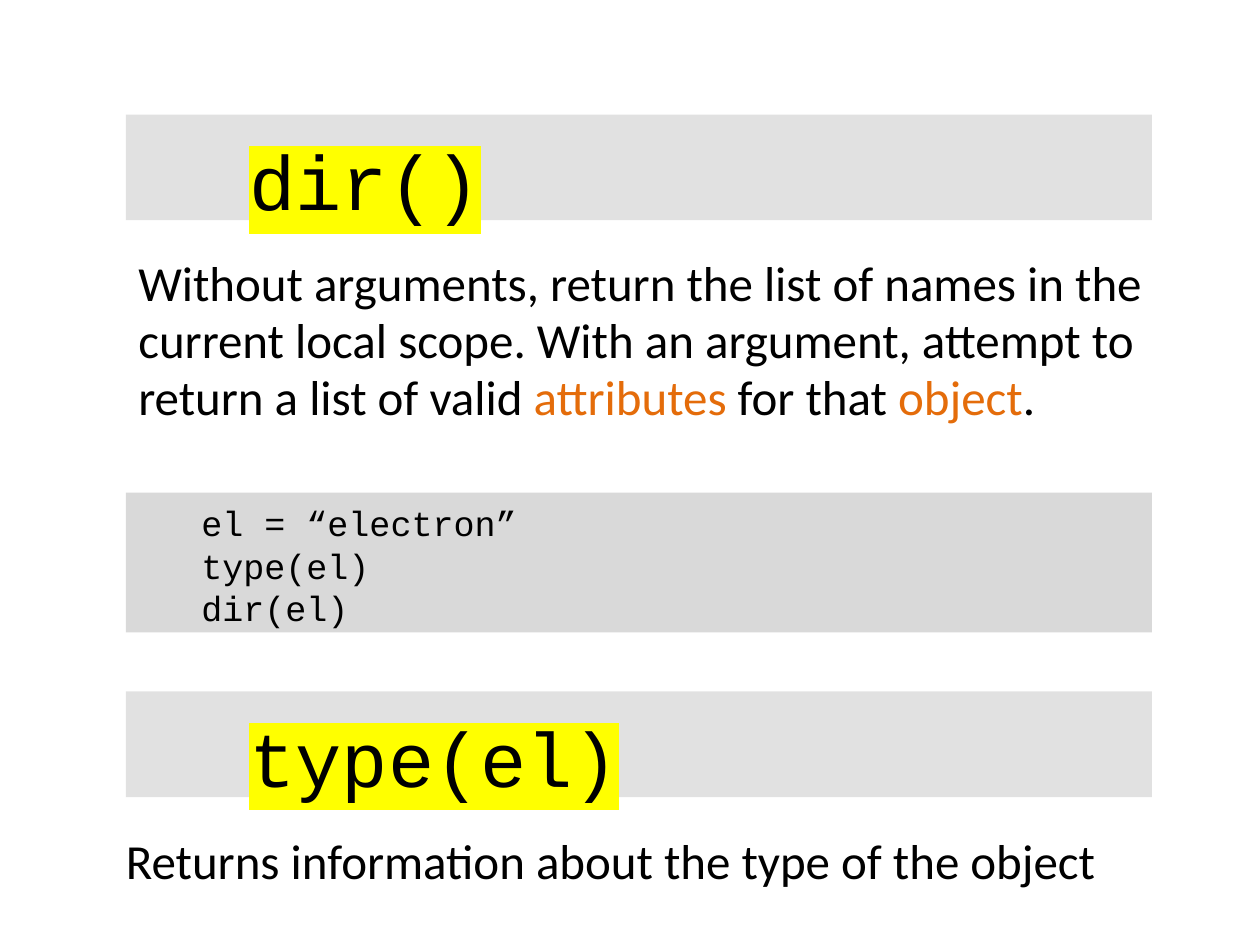
"""Build a slide explaining the dir() and type() functions."""
from dataclasses import dataclass
from typing import Optional, Union

from lxml import etree
from pptx import Presentation
from pptx import util as u
from pptx.dml.color import RGBColor
from pptx.enum import shapes, text
from pptx.oxml.ns import qn

BLACK, ORANGE, YELLOW = "000000", "E46C0A", "FFFF00"
BAR_LEFT, BAR_WIDTH = 2.54, 20.68


@dataclass
class Run:
    text: str
    color: str = BLACK


@dataclass
class Block:
    left: float
    top: float
    width: float
    height: float
    paragraphs: list[list[Run]]
    size: int
    font: str = "Calibri"
    fill: Optional[str] = None
    opacity: int = 100
    highlight: Optional[str] = None
    indent: float = 0
    inset_top: float = 0.13
    line_spacing: Union[float, u.Pt] = 1.0


def set_color(color_format, color: str) -> None:
    color_format.rgb = RGBColor.from_string(color)


def add_highlight(run, color: str) -> None:
    properties = run.font._element
    highlight = etree.Element(qn("a:highlight"))
    etree.SubElement(highlight, qn("a:srgbClr"), val=color)
    properties.find(qn("a:solidFill")).addnext(highlight)


def fill_shape(shape, color: str, opacity: int) -> None:
    shape.shadow.inherit = False
    shape.fill.solid()
    set_color(shape.fill.fore_color, color)
    shape.line.fill.background()
    if opacity < 100:
        value = shape._element.spPr.find(qn("a:solidFill"))[0]
        etree.SubElement(value, qn("a:alpha"), val=str(opacity * 1000))


def write_paragraph(paragraph, runs: list[Run], block: Block) -> None:
    paragraph.alignment = text.PP_ALIGN.LEFT
    paragraph.line_spacing = block.line_spacing
    if block.indent:
        paragraph._p.get_or_add_pPr().set("marL", str(u.Cm(block.indent)))
    for item in runs:
        run = paragraph.add_run()
        run.text = item.text
        run.font.size = u.Pt(block.size)
        run.font.name = block.font
        run.font.fill.solid()
        set_color(run.font.fill.fore_color, item.color)
        if block.highlight:
            add_highlight(run, block.highlight)


def add_block(slide, block: Block) -> None:
    box = [u.Cm(v) for v in (block.left, block.top, block.width, block.height)]
    if block.fill:
        shape = slide.shapes.add_shape(shapes.MSO_SHAPE.RECTANGLE, *box)
        fill_shape(shape, block.fill, block.opacity)
    else:
        shape = slide.shapes.add_textbox(*box)
    frame = shape.text_frame
    frame.word_wrap = True
    frame.vertical_anchor = text.MSO_ANCHOR.TOP
    frame.margin_top, frame.margin_bottom = u.Cm(block.inset_top), u.Cm(0)
    for index, runs in enumerate(block.paragraphs):
        paragraph = frame.add_paragraph() if index else frame.paragraphs[0]
        write_paragraph(paragraph, runs, block)


def heading(top: float, label: str) -> Block:
    return Block(BAR_LEFT, top, BAR_WIDTH, 2.13, [[Run(label)]], 44, "Courier New",
                 fill="808080", opacity=23, highlight=YELLOW, indent=2.24,
                 inset_top=0.38)


def main() -> None:
    presentation = Presentation()
    presentation.slide_width, presentation.slide_height = u.Cm(25.4), u.Cm(19.05)
    slide = presentation.slides.add_slide(presentation.slide_layouts[6])
    dir_description = [
        Run("Without arguments, return the list of names in the current local scope. "
            "With an argument, attempt to return a list of valid "),
        Run("attributes", ORANGE),
        Run(" for that "),
        Run("object", ORANGE),
        Run("."),
    ]
    type_description = [Run("Returns information about the type of the object")]
    code_lines = ["el = “electron”", "type(el)", "dir(el)"]
    blocks = [
        Block(2.54, 5.02, 21.59, 3.9, [dir_description], 28, line_spacing=0.97),
        Block(2.29, 16.61, 21.84, 1.5, [type_description], 28),
        heading(2.31, "dir()"),
        heading(13.94, "type(el)"),
        Block(BAR_LEFT, 9.93, BAR_WIDTH, 2.82, [[Run(line)] for line in code_lines],
              20, "Courier New", fill="D9D9D9", indent=1.27, inset_top=0.19,
              line_spacing=u.Pt(24)),
    ]
    for block in blocks:
        add_block(slide, block)
    presentation.save("out.pptx")


main()
